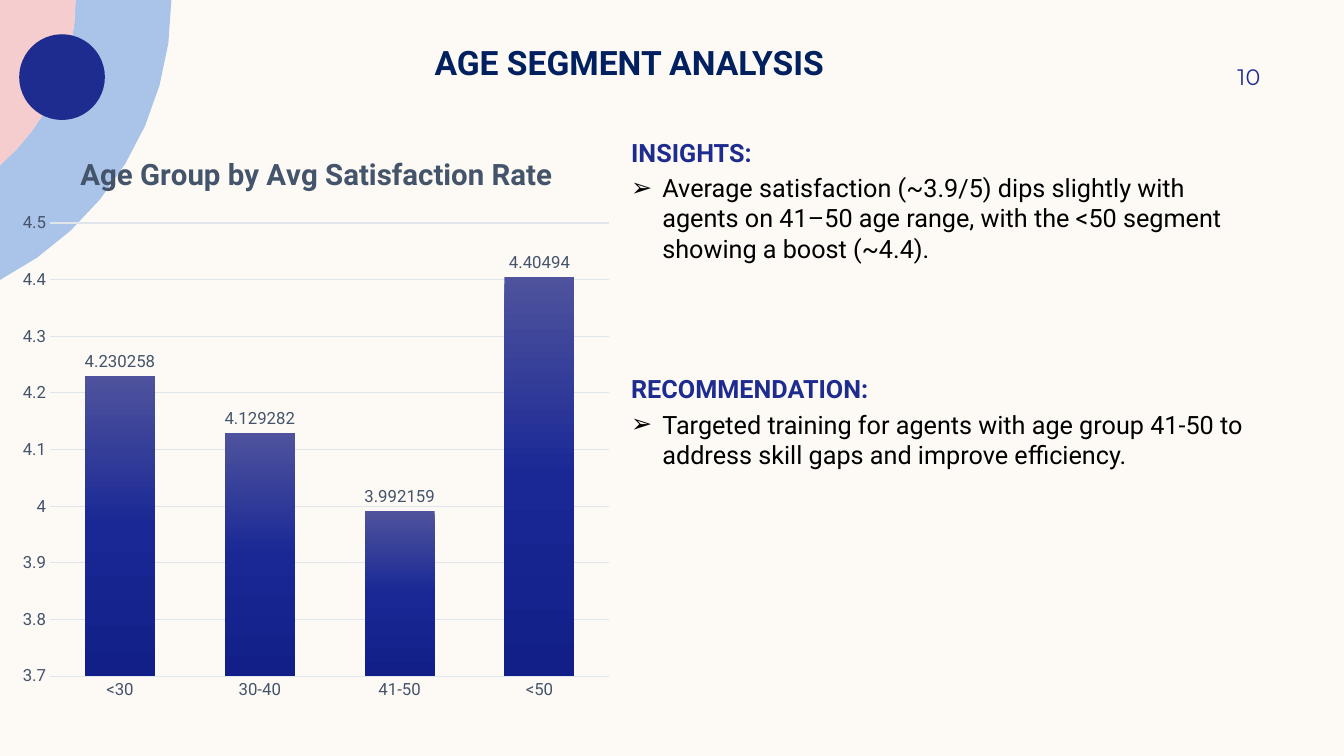
import math
from pptx import Presentation
from pptx import util as u
from pptx.chart.data import CategoryChartData
from pptx.dml.color import RGBColor
from pptx.enum import chart as ch, shapes, text
from pptx.oxml import parse_xml
from pptx.oxml.ns import nsdecls, qn

TITLE = "AGE SEGMENT ANALYSIS"
PAGE = "10"
SECTIONS = [
    ("INSIGHTS:", "Average satisfaction (~3.9/5) dips slightly with agents on 41–50 age range, "
                  "with the <50 segment showing a boost (~4.4)."),
    ("RECOMMENDATION:", "Targeted training for agents with age group 41-50 to address skill gaps "
                        "and improve efficiency."),
]
CHART_TITLE = "Age Group by Avg Satisfaction Rate"
RATES = {"<30": 4.230258, "30-40": 4.129282, "41-50": 3.992159, "<50": 4.40494}
BAR_STOPS = [(0, "4F539D"), (50, "192895"), (100, "121F89")]

CREAM = RGBColor(0xFD, 0xFA, 0xF6)
SKY = RGBColor(0xAA, 0xC3, 0xE8)
PINK = RGBColor(0xF5, 0xCD, 0xCE)
INDIGO = RGBColor(0x1F, 0x2C, 0x8F)
NAVY = RGBColor(0x00, 0x20, 0x60)
SLATE = RGBColor(0x44, 0x54, 0x6A)
GRID = RGBColor(0xE0, 0xE5, 0xEB)
BLACK = RGBColor(0, 0, 0)

W, H = 13.33, 7.5
MARGIN, MIDDLE, RIGHT = 0.11, 6.16, 12.5
BODY_TOP, BODY_H = 1.31, 5.75
RING_X, RING_RADII = -1.42, (2.17, 3.12)
SECTION_GAP = 79


def place(sp, x, y, w, h):
    sp.left, sp.top, sp.width, sp.height = (u.Inches(v) for v in (x, y, w, h))


def style(font, size, color, bold=False, name="Roboto"):
    font.size, font.bold, font.name = u.Pt(size), bold, name
    font.color.rgb = color


def add_run(p, words, *look):
    r = p.add_run()
    r.text = words
    style(r.font, *look)


def paint(sp, color):
    sp.shadow.inherit = False
    sp.fill.solid()
    sp.fill.fore_color.rgb = color
    sp.line.fill.background()


def arc(radius, steps=8):
    sweep = math.acos(-RING_X / radius)
    angles = [sweep * i / steps for i in range(steps + 1)]
    return [(u.Inches(RING_X + radius * math.cos(a)), u.Inches(radius * math.sin(a)))
            for a in angles]


def add_outline(s, points, color):
    fb = s.shapes.build_freeform(*points[0])
    fb.add_line_segments(points[1:], close=True)
    paint(fb.convert_to_shape(), color)


def add_bullet(p, char, indent):
    pPr = p._p.get_or_add_pPr()
    pPr.set("marL", str(u.Inches(indent)))
    pPr.set("indent", str(-u.Inches(indent)))
    mark = f'<a:buChar {nsdecls("a")} char="{char}"/>' if char else f'<a:buNone {nsdecls("a")}/>'
    pPr.append(parse_xml(mark))


def set_layout(parent, index, target="", **shares):
    for old in parent.findall(qn("c:layout")):
        parent.remove(old)
    modes = "".join(f'<c:{k}Mode val="edge"/>' for k in "xy")
    values = "".join(f'<c:{k} val="{v}"/>' for k, v in shares.items())
    parent.insert(index, parse_xml(
        f'<c:layout {nsdecls("c")}><c:manualLayout>{target}{modes}{values}'
        '</c:manualLayout></c:layout>'))


def add_rates(s):
    data = CategoryChartData()
    data.categories = list(RATES)
    data.add_series("Series 1", list(RATES.values()))
    box = [u.Inches(v) for v in (MARGIN, BODY_TOP, MIDDLE - MARGIN, BODY_H)]
    chart = s.shapes.add_chart(ch.XL_CHART_TYPE.COLUMN_CLUSTERED, *box, data).chart
    style(chart.font, 12, SLATE)
    chart.has_legend = False
    chart.has_title = True
    add_run(chart.chart_title.text_frame.paragraphs[0], CHART_TITLE, 21, SLATE, True)
    chart.chart_title.include_in_layout = False
    set_layout(chart.chart_title._element, 1, x=0.105, y=0.03)
    set_layout(chart._chartSpace.chart.plotArea, 0, '<c:layoutTarget val="inner"/>',
               x=0.064, y=0.157, w=0.917, h=0.782)

    for axis in (chart.category_axis, chart.value_axis):
        axis.major_tick_mark = axis.minor_tick_mark = ch.XL_TICK_MARK.NONE
        style(axis.tick_labels.font, 12, SLATE)
    chart.category_axis.format.line.color.rgb = GRID
    chart.category_axis.format.line.width = u.Pt(0.75)
    values = chart.value_axis
    values.minimum_scale, values.maximum_scale, values.major_unit = 3.7, 4.5, 0.1
    values.format.line.fill.background()
    values.major_gridlines.format.line.color.rgb = GRID
    values.major_gridlines.format.line.width = u.Pt(0.75)

    plot = chart.plots[0]
    plot.gap_width, plot.overlap, plot.vary_by_categories = 100, -24, False
    bars = plot.series[0]
    stops = "".join(f'<a:gs pos="{at * 1000}"><a:srgbClr val="{c}"/></a:gs>' for at, c in BAR_STOPS)
    bars._element.get_or_add_spPr().append(parse_xml(
        f'<a:gradFill {nsdecls("a")} rotWithShape="1"><a:gsLst>{stops}</a:gsLst>'
        '<a:lin ang="5400000" scaled="0"/></a:gradFill>'))
    labels = bars.data_labels
    labels.show_value = True
    labels.position = ch.XL_LABEL_POSITION.OUTSIDE_END
    labels.number_format, labels.number_format_is_linked = "General", False
    style(labels.font, 12, SLATE)


def main():
    prs = Presentation()
    prs.slide_width, prs.slide_height = u.Inches(W), u.Inches(H)
    s = prs.slides.add_slide(prs.slide_layouts[1])
    s.background.fill.solid()
    s.background.fill.fore_color.rgb = CREAM

    inner, outer = (arc(radius) for radius in RING_RADII)
    add_outline(s, outer + inner[::-1], SKY)
    add_outline(s, inner + [(0, 0)], PINK)
    dot = s.shapes.add_shape(shapes.MSO_SHAPE.OVAL, 0, 0, 0, 0)
    place(dot, 0.19, 0.34, 0.85, 0.85)
    paint(dot, INDIGO)

    title, body = s.placeholders
    place(title, 4.21, 0.37, 4.64, 0.5)
    title.text_frame.vertical_anchor = text.MSO_ANCHOR.TOP
    p = title.text_frame.paragraphs[0]
    p.alignment = text.PP_ALIGN.LEFT
    add_run(p, TITLE, 24, NAVY, True)

    place(body, MIDDLE, BODY_TOP, RIGHT - MIDDLE, BODY_H)
    tf = body.text_frame
    for i, (heading, point) in enumerate(SECTIONS):
        p = tf.add_paragraph() if i else tf.paragraphs[0]
        p.space_before = u.Pt(SECTION_GAP if i else 3.6)
        add_bullet(p, None, 0)
        add_run(p, heading, 18, INDIGO, True)
        p = tf.add_paragraph()
        p.space_before = u.Pt(3.6)
        add_bullet(p, "➢", 0.31)
        add_run(p, point, 18, BLACK)

    page = s.shapes.add_textbox(0, 0, 0, 0)
    place(page, RIGHT - 1.17, 0.5, 1.17, 0.52)
    tf = page.text_frame
    tf.word_wrap, tf.margin_right = True, 0
    tf.vertical_anchor = text.MSO_ANCHOR.MIDDLE
    tf.paragraphs[0].alignment = text.PP_ALIGN.RIGHT
    add_run(tf.paragraphs[0], PAGE, 16, INDIGO, False, "Montserrat")

    add_rates(s)
    prs.save("out.pptx")


if __name__ == "__main__":
    main()
